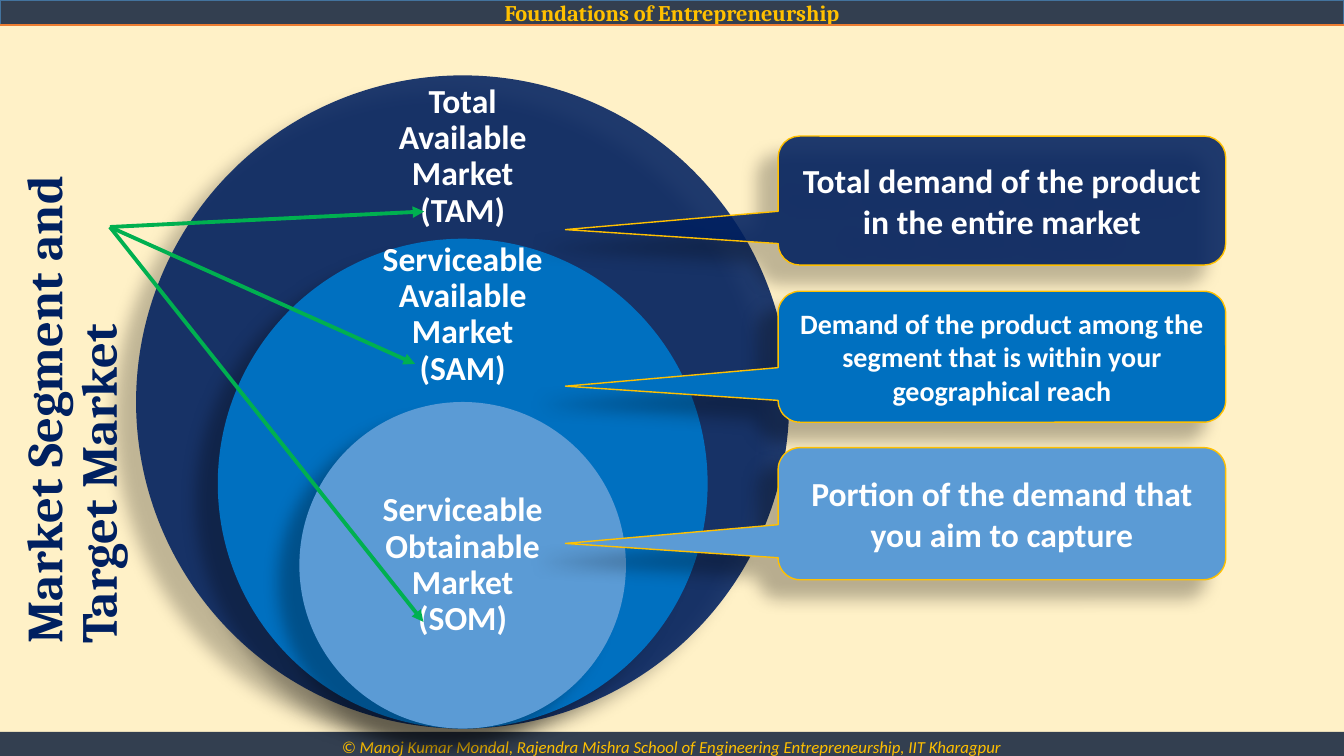
"""Build the nested market circles slide with its callouts and arrows."""
from dataclasses import dataclass
from typing import Optional

from lxml.etree import SubElement
from pptx import Presentation
from pptx.dml.color import RGBColor
from pptx.enum.shapes import MSO_CONNECTOR as Connector, MSO_SHAPE as Preset
from pptx.enum.text import MSO_ANCHOR as Anchor, PP_ALIGN as Align
from pptx.oxml.ns import qn
from pptx.util import Cm, Pt

COLORS = {
    "cream": "FFF1C7",
    "slate": "333F50",
    "steel": "43739E",
    "gold": "FFC000",
    "orange": "ED7D31",
    "navy": "002060",
    "blue": "0070C0",
    "sky": "5B9BD5",
    "green": "00B050",
    "white": "FFFFFF",
    "black": "000000",
}
WIDTH, HEIGHT = 33.87, 19.05
HEADER_HEIGHT, FOOTER_HEIGHT = 0.64, 0.61
CIRCLE_CENTER, CIRCLE_BOTTOM, CIRCLE_UNIT = 11.66, 18.36, 4.115
LABEL_WIDTH, LABEL_INSET = 5.75, 0.5
CALLOUT_LEFT, CALLOUT_WIDTH = 19.61, 11.28
CALLOUT_ADJUSTMENTS = (-0.975, 0.225, 0.167)
ARROW_START = (2.77, 5.72)
ARROW_ENDS = ((10.69, 5.33), (10.46, 9.17), (10.67, 15.67))

HEADER_FONT = {"name": "Cambria", "size": Pt(16), "bold": True}
FOOTER_FONT = {"name": "Calibri", "size": Pt(12), "italic": True}
TITLE_FONT = {"name": "Cambria", "size": Pt(36), "bold": True}
BODY_FONT = {"name": "Calibri", "size": Pt(24), "bold": True}


@dataclass(frozen=True)
class Market:
    """A circle, its label and the callout that explains it."""
    label: str
    color: str
    label_top: float
    label_height: float
    demand: str
    demand_size: int
    callout_top: float
    callout_height: float
    opacity: Optional[int] = None


MARKETS = (
    Market("Total Available Market (TAM)", "navy", 2.72, 2.46,
           "Total demand of the product in the entire market", 24, 3.43, 3.25, 88),
    Market("Serviceable Available Market (SAM)", "blue", 6.78, 2.31,
           "Demand of the product among the segment that is within your geographical reach",
           20, 7.34, 3.3),
    Market("Serviceable Obtainable Market (SOM)", "sky", 12.19, 4.11,
           "Portion of the demand that you aim to capture", 24, 11.28, 3.33),
)


def rgb(name: str) -> RGBColor:
    """Return the named colour."""
    return RGBColor.from_string(COLORS[name])


def write(box, text: str, color: str, font: dict, align=Align.CENTER,
          anchor=Anchor.MIDDLE, spacing: Optional[float] = None) -> None:
    """Put one formatted paragraph into a box."""
    frame = box.text_frame
    frame.word_wrap = True
    frame.vertical_anchor = anchor
    para = frame.paragraphs[0]
    para.alignment = align
    para.line_spacing = spacing
    span = para.add_run()
    span.text = text
    for key, value in font.items():
        setattr(span.font, key, value)
    span.font.color.rgb = rgb(color)


def add_box(page, preset, left: float, top: float, width: float, height: float,
            fill: str, line: Optional[str] = None, opacity: Optional[int] = None):
    """Add a filled shape without a shadow."""
    box = page.shapes.add_shape(preset, Cm(left), Cm(top), Cm(width), Cm(height))
    box.shadow.inherit = False
    box.fill.solid()
    box.fill.fore_color.rgb = rgb(fill)
    if opacity:
        color = box._element.spPr.find(qn("a:solidFill")).find(qn("a:srgbClr"))
        SubElement(color, qn("a:alpha"), val=str(opacity * 1000))
    if line:
        box.line.color.rgb = rgb(line)
        box.line.width = Pt(1)
    else:
        box.line.fill.background()
    return box


def add_shadow(box) -> None:
    """Cast a soft shadow to the lower left."""
    effects = box._element.spPr.find(qn("a:effectLst"))
    shadow = SubElement(effects, qn("a:outerShdw"), blurRad=str(Pt(11.8)),
                        dist=str(Pt(19.7)), dir=str(141 * 60000), rotWithShape="0")
    color = SubElement(shadow, qn("a:srgbClr"), val=COLORS["black"])
    SubElement(color, qn("a:alpha"), val="28000")


def add_line(page, start: tuple, end: tuple, color: str, width: float,
             arrow: bool = False) -> None:
    """Draw a straight line, with an arrowhead at its end if asked."""
    line = page.shapes.add_connector(Connector.STRAIGHT, *map(Cm, start + end))
    line.line.color.rgb = rgb(color)
    line.line.width = Pt(width)
    if arrow:
        SubElement(line.line._get_or_add_ln(), qn("a:tailEnd"), type="triangle")
    SubElement(line._element.spPr, qn("a:effectLst"))


def add_bands(page) -> None:
    """Add the header and footer bands."""
    header = add_box(page, Preset.RECTANGLE, 0, 0, WIDTH, HEADER_HEIGHT, "slate", "steel")
    write(header, "Foundations of Entrepreneurship", "gold", HEADER_FONT)
    add_line(page, (0, HEADER_HEIGHT), (WIDTH, HEADER_HEIGHT), "orange", 1.5)
    footer = add_box(page, Preset.RECTANGLE, 0, HEIGHT - FOOTER_HEIGHT, WIDTH,
                     FOOTER_HEIGHT, "slate")
    write(footer, "© Manoj Kumar Mondal, Rajendra Mishra School of Engineering "
          "Entrepreneurship, IIT Kharagpur", "gold", FOOTER_FONT, anchor=Anchor.TOP)


def add_circle(page, market: Market, diameter: float) -> None:
    """Add a market circle resting on the common base, with its label."""
    circle = add_box(page, Preset.OVAL, CIRCLE_CENTER - diameter / 2,
                     CIRCLE_BOTTOM - diameter, diameter, diameter,
                     market.color, opacity=market.opacity)
    add_shadow(circle)
    label = page.shapes.add_textbox(Cm(CIRCLE_CENTER - LABEL_WIDTH / 2), Cm(market.label_top),
                                    Cm(LABEL_WIDTH), Cm(market.label_height))
    for side in ("left", "top", "right", "bottom"):
        setattr(label.text_frame, f"margin_{side}", Cm(LABEL_INSET))
    write(label, market.label, "white", BODY_FONT, spacing=0.9)


def add_callout(page, market: Market) -> None:
    """Add the callout that points at a market circle."""
    callout = add_box(page, Preset.ROUNDED_RECTANGULAR_CALLOUT, CALLOUT_LEFT,
                      market.callout_top, CALLOUT_WIDTH, market.callout_height,
                      market.color, "gold", market.opacity)
    for index, value in enumerate(CALLOUT_ADJUSTMENTS):
        callout.adjustments[index] = value
    add_shadow(callout)
    write(callout, market.demand, "white", BODY_FONT | {"size": Pt(market.demand_size)})


def add_title(page) -> None:
    """Add the title, turned to read upwards."""
    title = page.shapes.add_textbox(Cm(-5.44), Cm(7.34), Cm(14.58), Cm(3.68))
    title.rotation = 270
    write(title, "Market Segment and Target Market", "navy", TITLE_FONT,
          align=Align.LEFT, spacing=0.9)


def main() -> None:
    """Build and save the deck."""
    deck = Presentation()
    deck.slide_width, deck.slide_height = Cm(WIDTH), Cm(HEIGHT)
    page = deck.slides.add_slide(deck.slide_layouts[6])
    page.background.fill.solid()
    page.background.fill.fore_color.rgb = rgb("cream")
    add_bands(page)
    for index, market in enumerate(MARKETS):
        add_circle(page, market, CIRCLE_UNIT * (4 - index))
    for market in MARKETS:
        add_callout(page, market)
    add_title(page)
    for end in ARROW_ENDS:
        add_line(page, ARROW_START, end, "green", 2.75, arrow=True)
    deck.save("out.pptx")


if __name__ == "__main__":
    main()
